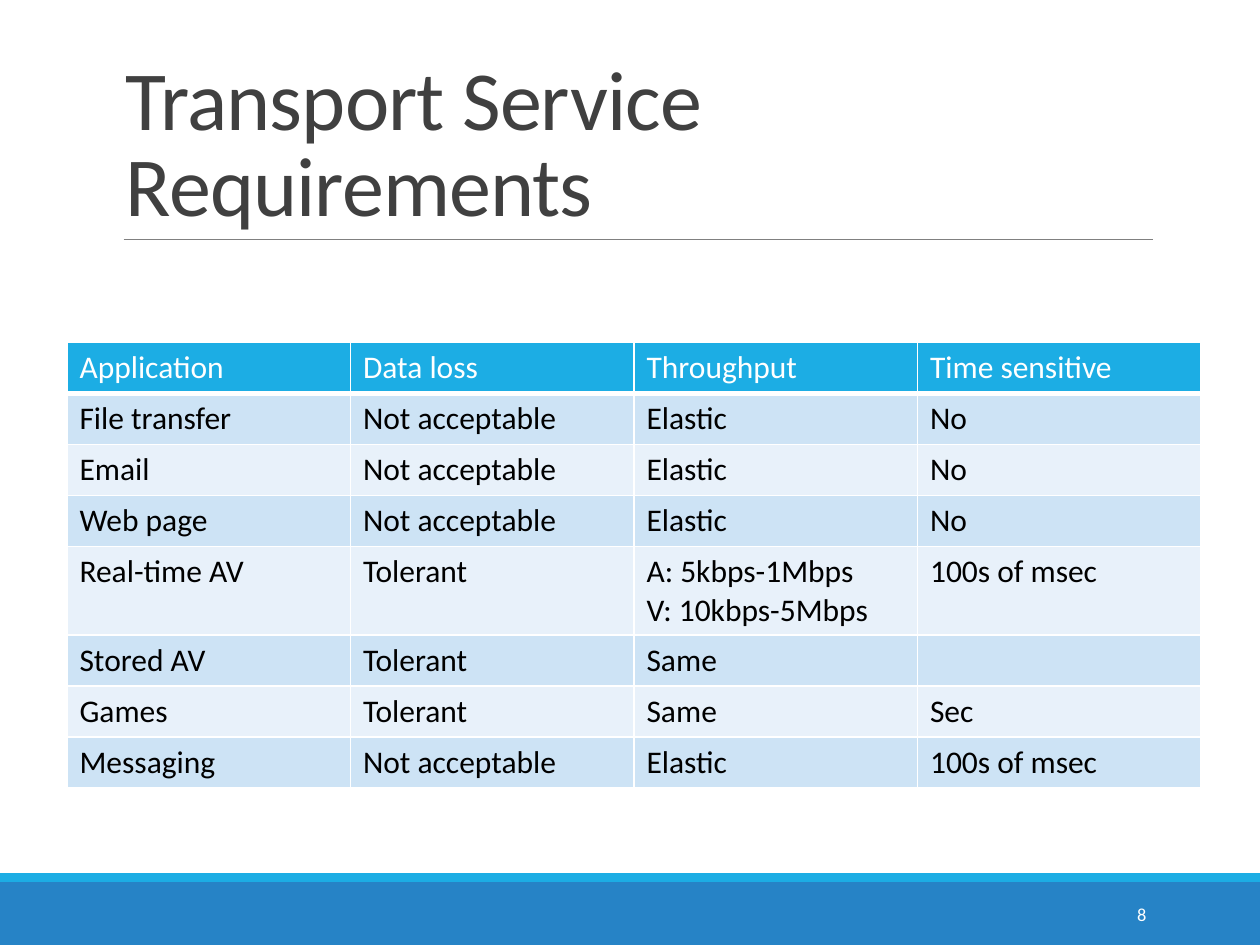
from lxml.etree import SubElement
from pptx import Presentation
from pptx.dml.color import RGBColor
from pptx.enum.shapes import MSO_CONNECTOR, MSO_SHAPE
from pptx.enum.text import MSO_ANCHOR, PP_ALIGN
from pptx.oxml.ns import qn
from pptx.util import Cm, Pt

FONT = "Calibri"
WHITE, BLACK, TITLE_GREY, RULE_GREY = "FFFFFF", "000000", "404040", "808080"
BLUE, CYAN = "2683C6", "1CADE4"
BANDS = ("CDE3F5", "E8F1FA")

REQUIREMENTS = [
    ("Application", "Data loss", "Throughput", "Time sensitive"),
    ("File transfer", "Not acceptable", "Elastic", "No"),
    ("Email", "Not acceptable", "Elastic", "No"),
    ("Web page", "Not acceptable", "Elastic", "No"),
    ("Real-time AV", "Tolerant", "A: 5kbps-1Mbps\nV: 10kbps-5Mbps", "100s of msec"),
    ("Stored AV", "Tolerant", "Same", ""),
    ("Games", "Tolerant", "Same", "Sec"),
    ("Messaging", "Not acceptable", "Elastic", "100s of msec"),
]


def color(hex_code):
    return RGBColor.from_string(hex_code)


def set_font(paragraph, size, hex_code):
    font = paragraph.font
    font.name, font.size, font.bold = FONT, Pt(size), False
    font.color.rgb = color(hex_code)


def add_text(slide, left, top, width, height, text, size, hex_code, anchor):
    shape = slide.shapes.add_textbox(Cm(left), Cm(top), Cm(width), Cm(height))
    frame = shape.text_frame
    frame.word_wrap = True
    frame.vertical_anchor = anchor
    paragraph = frame.paragraphs[0]
    paragraph.text = text
    set_font(paragraph, size, hex_code)
    return paragraph


def add_bar(slide, left, top, width, height, hex_code):
    shape = slide.shapes.add_shape(
        MSO_SHAPE.RECTANGLE, Cm(left), Cm(top), Cm(width), Cm(height))
    shape.shadow.inherit = False
    shape.fill.solid()
    shape.fill.fore_color.rgb = color(hex_code)
    shape.line.fill.background()


def set_borders(cell, bottom_width):
    """Draw white borders; they must come before the cell's fill."""
    properties = cell._tc.get_or_add_tcPr()
    for side, width in (("lnL", 1), ("lnR", 1), ("lnT", 1), ("lnB", bottom_width)):
        line = SubElement(properties, qn(f"a:{side}"), w=str(Pt(width)))
        fill = SubElement(line, qn("a:solidFill"))
        SubElement(fill, qn("a:srgbClr"), val=WHITE)


def add_footer(slide, left, top, width, height, number):
    stripe = 0.18
    add_bar(slide, left, top + stripe, width, height - stripe, BLUE)
    add_bar(slide, left, top, width, stripe, CYAN)
    # Slide number
    paragraph = add_text(slide, left + 20.62, top + 0.33, 2.74, 1.01,
                         number, 10.5, WHITE, MSO_ANCHOR.MIDDLE)
    paragraph.alignment = PP_ALIGN.RIGHT


def add_title(slide, left, top, width, height, text):
    paragraph = add_text(slide, left, top, width, height,
                         text, 48, TITLE_GREY, MSO_ANCHOR.BOTTOM)
    paragraph.line_spacing = 0.85
    paragraph.runs[0]._r.get_or_add_rPr().set("spc", "-50")
    # Rule under the title
    bottom = Cm(top + height)
    rule = slide.shapes.add_connector(
        MSO_CONNECTOR.STRAIGHT, Cm(left + 0.2), bottom, Cm(left + width), bottom)
    rule.line.color.rgb = color(RULE_GREY)
    rule.line.width = Pt(0.5)
    SubElement(rule._element.spPr, qn("a:effectLst"))


def add_requirements_table(slide, left, top, width, row_height, rows):
    table = slide.shapes.add_table(
        len(rows), len(rows[0]), Cm(left), Cm(top),
        Cm(width), Cm(row_height * len(rows))).table
    for row_index, row in enumerate(rows):
        is_header = row_index == 0
        for column_index, text in enumerate(row):
            cell = table.cell(row_index, column_index)
            cell.text = text
            for paragraph in cell.text_frame.paragraphs:
                set_font(paragraph, 18, WHITE if is_header else BLACK)
            set_borders(cell, 3 if is_header else 1)
            cell.fill.solid()
            cell.fill.fore_color.rgb = color(
                CYAN if is_header else BANDS[(row_index - 1) % 2])


def main():
    presentation = Presentation()
    presentation.slide_width, presentation.slide_height = Cm(25.4), Cm(19.05)
    slide = presentation.slides.add_slide(presentation.slide_layouts[6])
    add_footer(slide, 0, 17.6, 25.4, 1.45, "8")
    add_title(slide, 2.29, 0.79, 20.95, 4.04, "Transport Service Requirements")
    add_requirements_table(slide, 1.35, 6.9, 22.86, 1.03, REQUIREMENTS)
    presentation.save("out.pptx")


if __name__ == "__main__":
    main()
